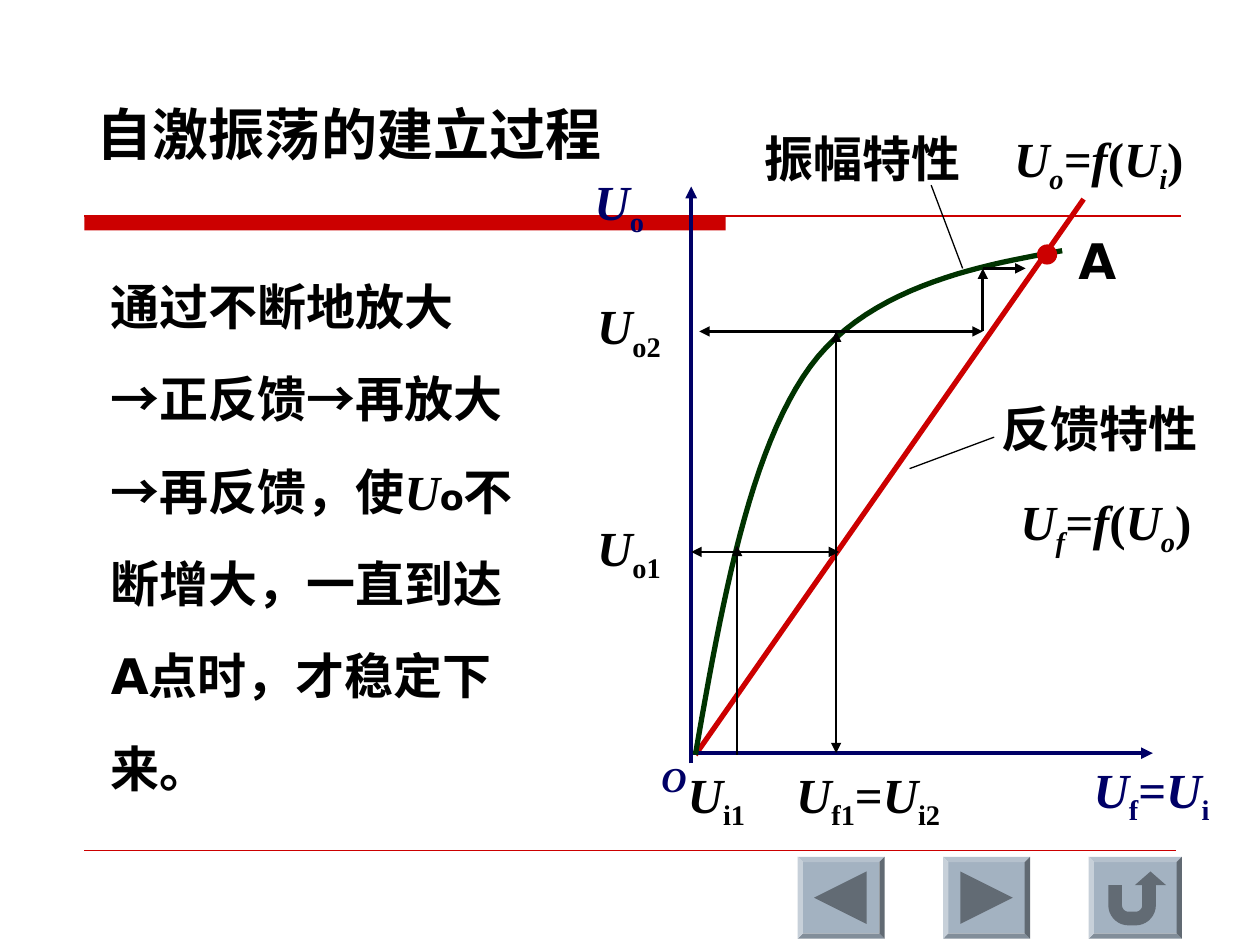
import math
from typing import NamedTuple

from lxml import etree
from pptx import Presentation
from pptx.dml.color import RGBColor
from pptx.enum.shapes import MSO_CONNECTOR, MSO_SHAPE
from pptx.enum.text import MSO_ANCHOR, MSO_AUTO_SIZE, PP_ALIGN
from pptx.oxml.ns import qn
from pptx.util import Pt

STRAIGHT = MSO_CONNECTOR.STRAIGHT
RECTANGLE, OVAL, BEVEL = MSO_SHAPE.RECTANGLE, MSO_SHAPE.OVAL, MSO_SHAPE.BEVEL
LEFT, MIDDLE = PP_ALIGN.LEFT, MSO_ANCHOR.MIDDLE
FIXED_SIZE = MSO_AUTO_SIZE.NONE

RED = RGBColor(0xCC, 0x00, 0x00)
NAVY = RGBColor(0x00, 0x00, 0x66)
GREEN = RGBColor(0x00, 0x33, 0x00)
BLACK = RGBColor(0x00, 0x00, 0x00)
BUTTON_FILL = RGBColor(0xA3, 0xB2, 0xC1)
ICON_FILL = RGBColor(0x62, 0x6B, 0x74)
SANS, SERIF, ARROW_FONT = "DejaVu Sans", "Times New Roman", "Arial"

Point = tuple[float, float]


class Span(NamedTuple):
    text: str
    font: str = SERIF
    size: float = 28
    italic: bool = False
    subscript: bool = False


class Label(NamedTuple):
    left: float
    top: float
    width: float
    spans: list[Span]
    color: RGBColor = BLACK


class Line(NamedTuple):
    start: Point
    end: Point
    color: RGBColor = BLACK
    weight: float = 1.5
    head: bool = False
    tail: bool = False


def write_spans(para, spans: list[Span], color: RGBColor) -> None:
    for span in spans:
        run = para.add_run()
        run.text = span.text
        font = run.font
        font.name, font.size = span.font, Pt(span.size)
        font.bold, font.italic = True, span.italic
        font.color.rgb = color
        if span.subscript:
            run._r.get_or_add_rPr().set("baseline", "-25000")


def draw_label(page, label: Label) -> None:
    box = page.shapes.add_textbox(Pt(label.left), Pt(label.top), Pt(label.width), Pt(45))
    box.text_frame.word_wrap = True
    box.text_frame.auto_size = FIXED_SIZE
    write_spans(box.text_frame.paragraphs[0], label.spans, label.color)


def draw_line(page, line: Line) -> None:
    connector = page.shapes.add_connector(
        STRAIGHT, *(Pt(value) for value in line.start + line.end))
    connector.line.color.rgb = line.color
    connector.line.width = Pt(line.weight)
    outline = connector.line._get_or_add_ln()
    for tag, shown in (("a:headEnd", line.head), ("a:tailEnd", line.tail)):
        if shown:
            etree.SubElement(outline, qn(tag), type="triangle")
    etree.SubElement(connector._element.spPr, qn("a:effectLst"))


def paint(shape, color: RGBColor) -> None:
    shape.shadow.inherit = False
    shape.fill.solid()
    shape.fill.fore_color.rgb = color
    shape.line.fill.background()


def draw_shape(page, kind, left: float, top: float, width: float, height: float,
               color: RGBColor):
    shape = page.shapes.add_shape(kind, Pt(left), Pt(top), Pt(width), Pt(height))
    paint(shape, color)
    return shape


def draw_outline(page, points: list[Point], closed: bool):
    vertices = [(Pt(x), Pt(y)) for x, y in points]
    builder = page.shapes.build_freeform(*vertices[0])
    builder.add_line_segments(vertices[1:], close=closed)
    return builder.convert_to_shape()


def bezier(a: Point, b: Point, c: Point, d: Point, steps: int = 24) -> list[Point]:
    weights = [((1 - t) ** 3, 3 * t * (1 - t) ** 2, 3 * t * t * (1 - t), t ** 3)
               for t in (step / steps for step in range(steps + 1))]
    return [tuple(sum(w * p[axis] for w, p in zip(weight, (a, b, c, d)))
                  for axis in (0, 1)) for weight in weights]


def arc(x: float, y: float, radius: float, start: int, end: int) -> list[Point]:
    step = 10 if end > start else -10
    return [(x + radius * math.cos(math.radians(angle)),
             y + radius * math.sin(math.radians(angle)))
            for angle in range(start, end + step, step)]


def triangle_icon(x: float, y: float, direction: int) -> list[Point]:
    """Triangle pointing left (-1) or right (1)."""
    base = x - direction * 15
    return [(x + direction * 15, y), (base, y - 15), (base, y + 15)]


def return_icon(x: float, y: float) -> list[Point]:
    """U-turn arrow around the centre of its button."""
    bend = y + 4.2
    return [(x - 15.4, y - 7.2), (x - 7.6, y - 7.2),
            *arc(x - 3.8, bend, 3.8, 180, 90), *arc(x + 0.2, bend, 3.8, 90, 0),
            (x + 4, y - 7.2), (x - 0.2, y - 7.2), (x + 8.7, y - 15),
            (x + 17.6, y - 7.2), (x + 11.8, y - 7.2),
            *arc(x + 0.2, bend, 11.6, 0, 90), *arc(x - 3.8, bend, 11.6, 90, 180)]


def symbol(subscript: str, slanted: bool = False) -> list[Span]:
    return [Span("U", italic=True), Span(subscript, italic=slanted, subscript=True)]


def function(result: str, argument: str) -> list[Span]:
    return [*symbol(result, True), Span("=f", italic=True), Span("("),
            *symbol(argument, True), Span(")")]


def sans(text: str, size: float = 28) -> Span:
    return Span(text, SANS, size)


ARROW = Span("→", ARROW_FONT)
BODY = [
    [sans("通过不断地放大")],
    [ARROW, sans("正反馈"), ARROW, sans("再放大")],
    [ARROW, sans("再反馈，使"), Span("U", italic=True), sans("o", 20), sans("不")],
    [sans("断增大，一直到达")],
    [sans("A点时，才稳定下")],
    [sans("来。")],
]

# Axes and levels of the staircase on the diagram
AXIS_X, AXIS_Y = 395, 430.4
UI1, UI2, UI3 = 421.2, 477.8, 561.6
UO1, UO2, UO3 = 315.4, 189.4, 153.4

AXES = [
    Line((397.4, 431.3), (619.2, 113.8), RED, 3),
    Line((AXIS_X, 436.3), (AXIS_X, 106.6), NAVY, 2.25, tail=True),
    Line((AXIS_X, AXIS_Y), (658.8, AXIS_Y), NAVY, 2.25, tail=True),
]
STAIRCASE = [
    Line((UI1, 431.3), (UI1, 311.8), tail=True),
    Line((UI2, AXIS_Y), (UI2, UO2), head=True, tail=True),
    Line((AXIS_X, UO1), (479.5, UO1), head=True, tail=True),
    Line((399.6, UO2), (UI3, UO2), head=True, tail=True),
    Line((UI3, UO2), (UI3, UO3), tail=True),
    Line((UI3, UO3), (586.1, UO3), tail=True),
]
LEADERS = [Line((519.8, 267.8), (568.1, 249.8), weight=0.75),
           Line((532.1, 105.8), (550.1, UO3), weight=0.75)]
LABELS = [
    Label(617.8, 430.6, 90, symbol("f") + [Span("=")] + symbol("i"), NAVY),
    Label(370.8, 429.1, 36, [Span("O", size=20, italic=True)], NAVY),
    Label(332.6, 94.3, 54, symbol("o"), NAVY),
    Label(565.2, 223.9, 139, [sans("反馈特性")]),
    Label(576, 277.2, 127.4, function("f", "o")),
    Label(429.8, 69.8, 131, [sans("振幅特性")]),
    Label(572.4, 69.8, 134.6, function("o", "i")),
    Label(385.9, 433.4, 60, symbol("i1")),
    Label(334.1, 292.3, 60, symbol("o1")),
    Label(447.8, 433.4, 110, symbol("f1") + [Span("=")] + symbol("i2")),
    Label(334.1, 165.6, 60, symbol("o2")),
    Label(609.1, 128.2, 44, [sans("A")]),
]


def place(holder, left: float, top: float, width: float, height: float):
    holder.left, holder.top = Pt(left), Pt(top)
    holder.width, holder.height = Pt(width), Pt(height)
    holder.text_frame.word_wrap = True
    holder.text_frame.auto_size = FIXED_SIZE
    return holder.text_frame


def main() -> None:
    deck = Presentation()
    deck.slide_width, deck.slide_height = Pt(720), Pt(540)
    page = deck.slides.add_slide(deck.slide_layouts[1])

    # Title and body
    title = place(page.shapes.title, 48.2, 50.4, 368.6, 51.1)
    title.vertical_anchor = MIDDLE
    title.paragraphs[0].alignment = LEFT
    write_spans(title.paragraphs[0], [sans("自激振荡的建立过程", 32)], BLACK)
    body = place(page.placeholders[1], 56.2, 152.6, 247, 342)
    for index, spans in enumerate(BODY):
        para = body.add_paragraph() if index else body.paragraphs[0]
        para.alignment, para.line_spacing, para.space_before = LEFT, 1.05, Pt(17.5)
        properties = para._p.get_or_add_pPr()
        properties.set("marL", "0")
        properties.set("indent", "0")
        etree.SubElement(properties, qn("a:buNone"))
        write_spans(para, spans, BLACK)

    # Header band and footer rule
    draw_shape(page, RECTANGLE, 48.2, 123.1, 366.5, 8.6, RED)
    draw_line(page, Line((48.2, 123.4), (674.6, 123.4), RED, 1))
    draw_line(page, Line((48.2, 486), (671.8, 486), RED, 0.25))

    # Navigation buttons
    top, height = 489.6, 46.8
    middle = top + height / 2
    for left, width in ((455.8, 49.7), (538.9, 49.7), (622.1, 53.3)):
        button = draw_shape(page, BEVEL, left, top, width, height, BUTTON_FILL)
        button.adjustments[0] = 0.065
    for icon in (triangle_icon(480.2, middle, -1), triangle_icon(563.8, middle, 1),
                 return_icon(648.75, middle)):
        paint(draw_outline(page, icon, True), ICON_FILL)

    # Oscillation diagram
    for line in AXES:
        draw_line(page, line)
    knee = (463, 209.5)
    curve = bezier((397.4, 431.3), (412.6, 344.2), (428.4, 257), knee)
    curve += bezier(knee, (498.2, 161.3), (568.1, 150.5), (607, 143.3))[1:]
    amplitude = draw_outline(page, curve, False)
    amplitude.shadow.inherit = False
    amplitude.fill.background()
    amplitude.line.color.rgb, amplitude.line.width = GREEN, Pt(3)
    for line in STAIRCASE + LEADERS:
        draw_line(page, line)
    draw_shape(page, OVAL, 592.6, 139.7, 11.5, 11.5, RED)
    for label in LABELS:
        draw_label(page, label)

    deck.save("out.pptx")


if __name__ == "__main__":
    main()
